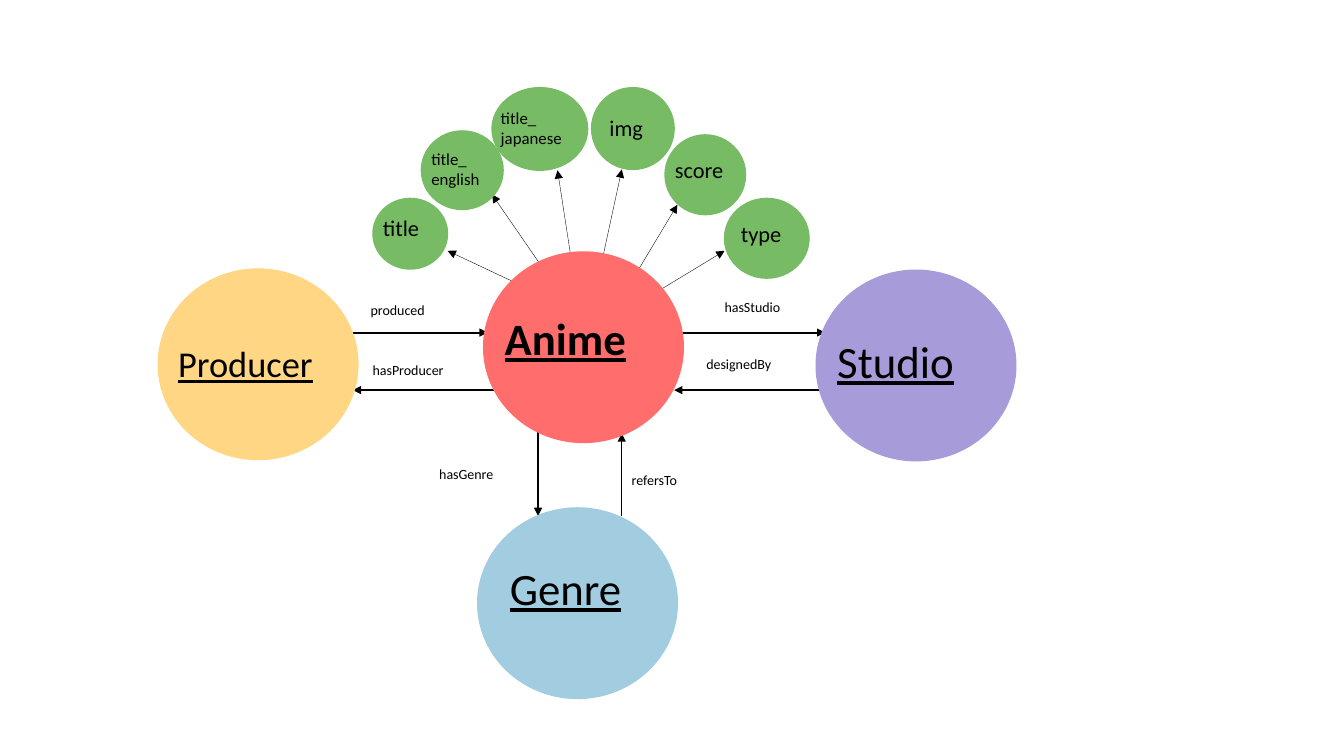
from lxml import etree
from pptx import Presentation
from pptx.dml.color import RGBColor
from pptx.enum.shapes import MSO_CONNECTOR, MSO_SHAPE
from pptx.enum.text import MSO_AUTO_SIZE
from pptx.oxml.ns import qn
from pptx.util import Cm, Pt

LINE = MSO_CONNECTOR.STRAIGHT
OVAL = MSO_SHAPE.OVAL
FIT = MSO_AUTO_SIZE.SHAPE_TO_FIT_TEXT
FONT = "Calibri"
COLORS = {
    "ink": "000000", "field": "77BC65", "Producer": "FED684",
    "Studio": "A79BDA", "Anime": "FF6D6D", "Genre": "A2CDE1",
}

# All lengths in cm; label boxes are (left, top, width)
NODE_SIZE = (5.03, 4.8)
# name, oval corner, label box, text size, bold
NODES = [
    ("Studio", (20.57, 6.81), (20.85, 8.28, 4.22), 32, False),
    ("Producer", (3.99, 6.78), (4.24, 8.48, 4.8), 26, False),
    ("Anime", (12.19, 6.35), (12.47, 7.7, 4.72), 32, True),
    ("Genre", (12.04, 12.8), (12.6, 14, 3.96), 32, False),
]
# lines, oval, label box, text size, arrow start, arrow end
FIELDS = [
    (["title"], (9.4, 5, 1.88, 1.78), (9.4, 5.28, 2.49), 16,
     (13.28, 7.26), (11.28, 6.32)),
    (["title_", "english"], (10.62, 3.3, 2.06, 1.98), (10.62, 3.63, 2.18), 12,
     (14.33, 7.7), (12.4, 4.9)),
    (["title_", "japanese"], (12.4, 2.21, 2.41, 2.08), (12.37, 2.59, 2.59), 12,
     (14.61, 7.92), (14.05, 4.29)),
    (["img"], (14.91, 2.21, 2.08, 2.06), (15.11, 2.74, 2.49), 16,
     (14.73, 8.61), (15.67, 4.27)),
    (["score"], (16.76, 3.4, 2.03, 2.01), (16.76, 3.81, 2.46), 16,
     (15.14, 8.38), (17.07, 5.16)),
    (["type"], (18.26, 5, 2.13, 2.01), (18.42, 5.41, 2.77), 16,
     (15.95, 7.72), (18.26, 6.32)),
]
# name, label box, arrow start, arrow end, line width
LINKS = [
    ("produced", (9.09, 7.47, 2.84), (7.19, 8.38), (12.29, 8.38), 1.5),
    ("hasProducer", (9.14, 8.99, 3.28), (14.91, 9.83), (8.89, 9.83), 1.5),
    ("hasStudio", (18.01, 7.39, 3.2), (13.41, 8.38), (20.8, 8.38), 1.5),
    ("designedBy", (17.55, 8.84, 3), (23.9, 9.83), (16.99, 9.83), 1.5),
    ("hasGenre", (10.82, 11.61, 2.97), (13.56, 8.23), (13.56, 13), 1),
    ("refersTo", (15.67, 11.76, 2.97), (15.67, 13), (15.67, 10.92), 1),
]


def color(key):
    return RGBColor.from_string(COLORS[key])


def add_arrow(slide, start, end, width):
    arrow = slide.shapes.add_connector(LINE, *map(Cm, start + end))
    arrow.line.color.rgb = color("ink")
    arrow.line.width = Pt(width)
    line = arrow.line._get_or_add_ln()
    etree.SubElement(line, qn("a:tailEnd"), type="triangle")
    etree.SubElement(arrow._element.spPr, qn("a:effectLst"))


def add_oval(slide, box, key):
    oval = slide.shapes.add_shape(OVAL, *map(Cm, box))
    oval.shadow.inherit = False
    oval.fill.solid()
    oval.fill.fore_color.rgb = color(key)
    oval.line.color.rgb = color(key)
    oval.line.width = Pt(1)


def add_label(slide, lines, box, size, bold=False, under=False):
    # Height follows the text: 1.2 line spacing plus top and bottom insets
    height = Pt(size * 1.2 * len(lines)) + Cm(0.25)
    frame = slide.shapes.add_textbox(*map(Cm, box), height).text_frame
    frame.word_wrap = True
    frame.auto_size = FIT
    frame.text = "\n".join(lines)
    for para in frame.paragraphs:
        font = para.font
        font.name, font.size = FONT, Pt(size)
        font.bold, font.underline = bold, under
        font.color.rgb = color("ink")


def main():
    deck = Presentation()
    deck.slide_width, deck.slide_height = Cm(33.87), Cm(19.05)
    slide = deck.slides.add_slide(deck.slide_layouts[6])

    # Arrows lie behind the ovals
    for _, _, _, _, start, end in FIELDS:
        add_arrow(slide, start, end, 0.25)
    for _, _, start, end, width in LINKS:
        add_arrow(slide, start, end, width)

    # Main classes
    for name, corner, box, size, bold in NODES:
        add_oval(slide, corner + NODE_SIZE, name)
        add_label(slide, [name], box, size, bold, True)

    # Fields of Anime
    for _, oval, _, _, _, _ in FIELDS:
        add_oval(slide, oval, "field")
    for lines, _, box, size, _, _ in FIELDS:
        add_label(slide, lines, box, size)

    # Names of the relations
    for name, box, _, _, _ in LINKS:
        add_label(slide, [name], box, 10)

    deck.save("out.pptx")


if __name__ == "__main__":
    main()
